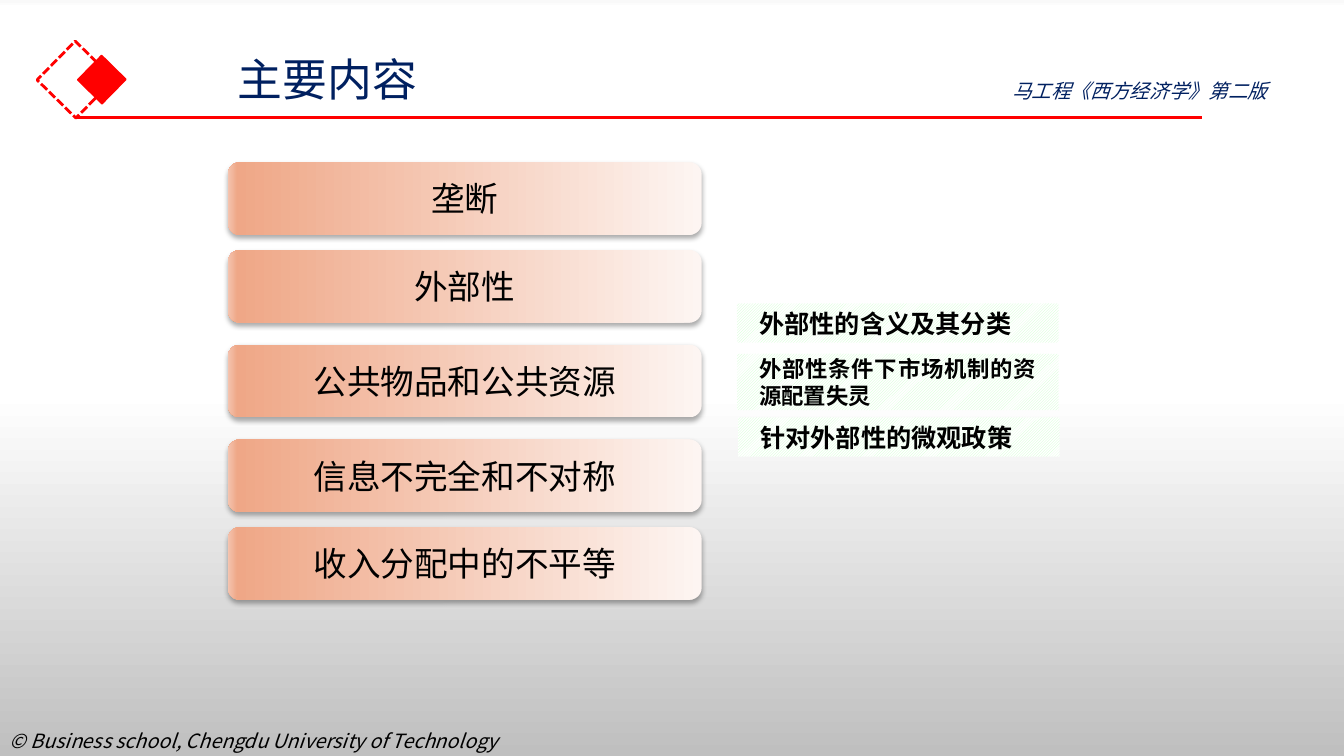
from lxml import etree
from pptx import Presentation
from pptx.dml.color import RGBColor
from pptx.enum.dml import MSO_LINE, MSO_PATTERN
from pptx.enum.shapes import MSO_CONNECTOR, MSO_SHAPE
from pptx.enum.text import MSO_ANCHOR, PP_ALIGN
from pptx.oxml.ns import qn
from pptx.util import Inches, Pt

RECT, ROUNDED = MSO_SHAPE.RECTANGLE, MSO_SHAPE.ROUNDED_RECTANGLE
STRAIGHT = MSO_CONNECTOR.STRAIGHT
DASH = MSO_LINE.SQUARE_DOT
HATCH = MSO_PATTERN.LIGHT_UPWARD_DIAGONAL
TOP, MIDDLE = MSO_ANCHOR.TOP, MSO_ANCHOR.MIDDLE
LEFT, CENTER, JUSTIFY = PP_ALIGN.LEFT, PP_ALIGN.CENTER, PP_ALIGN.JUSTIFY

SANS, LATIN = "Noto Sans CJK SC", "Calibri"
COLORS = {"red": "FF0000", "navy": "002060", "black": "000000",
          "white": "FFFFFF", "mint": "CCFFCC"}
PAGE_STOPS = [(0, "F9F9F9"), (1, "FFFFFF"), (52, "FFFFFF"), (100, "BFBFBF")]
BAR_STOPS = [(0, "FDF5F2"), (98, "EFA787"), (100, "F4C4AF")]

CHAPTERS = [(1.61, "垄断"), (2.48, "外部性"), (3.42, "公共物品和公共资源"),
            (4.36, "信息不完全和不对称"), (5.23, "收入分配中的不平等")]
SECTIONS = [(0, 0, 0.39, 18, "外部性的含义及其分类"),
            (0, 0.5, 0.56, 16, "外部性条件下市场机制的资源配置失灵"),
            (0.01, 1.13, 0.39, 18, "针对外部性的微观政策")]


def rgb(name):
    """Return the named palette colour."""
    return RGBColor.from_string(COLORS[name])


def add_child(parent, tag, **attributes):
    """Append a DrawingML element with the given attributes."""
    child = etree.SubElement(parent, qn(tag))
    for key, value in attributes.items():
        child.set(key, str(value))
    return child


def set_gradient(fill, element, stops, angle):
    """Fill with a linear gradient whose angle runs clockwise."""
    fill.gradient()
    gradient = element.find(".//" + qn("a:gradFill"))
    stop_list = gradient.find(qn("a:gsLst"))
    for old_stop in list(stop_list):
        stop_list.remove(old_stop)
    for position, color in stops:
        stop = add_child(stop_list, "a:gs", pos=position * 1000)
        add_child(stop, "a:srgbClr", val=color)
    gradient.find(qn("a:lin")).set("ang", str(angle * 60000))


def write(shape, text, size, color, font=SANS, align=LEFT, anchor=TOP,
          margin=0.1, bold=False, italic=False):
    """Put one formatted paragraph into a shape."""
    frame = shape.text_frame
    frame.text = text
    frame.word_wrap = True
    frame.vertical_anchor = anchor
    frame.margin_left = frame.margin_right = Inches(margin)
    frame.margin_top = frame.margin_bottom = Inches(0.05)
    paragraph = frame.paragraphs[0]
    paragraph.alignment = align
    for run in paragraph.runs:
        run.font.name = font
        run.font.size = Pt(size)
        run.font.bold = bold
        run.font.italic = italic
        run.font.color.rgb = rgb(color)
        add_child(run.font._element, "a:ea", typeface=SANS)


def add_caption(slide, left, top, width, height, text, color):
    """Add a small italic line of text."""
    caption = slide.shapes.add_textbox(
        Inches(left), Inches(top), Inches(width), Inches(height))
    write(caption, text, 14, color, italic=True)


def add_diamond(slide, left, top, side):
    """Add a red outlined square standing on its corner."""
    diamond = slide.shapes.add_shape(
        RECT, Inches(left), Inches(top), Inches(side), Inches(side))
    diamond.rotation = 314.5
    diamond.shadow.inherit = False
    diamond.line.color.rgb = rgb("red")
    return diamond


def add_header(slide, left, top):
    """Add the diamonds, the rule, the title and the book name."""
    dashed = add_diamond(slide, left, top + 0.06, 0.54)
    dashed.fill.background()
    dashed.line.width = Pt(2)
    dashed.line.dash_style = DASH
    solid = add_diamond(slide, left + 0.36, top + 0.16, 0.34)
    solid.fill.solid()
    solid.fill.fore_color.rgb = rgb("red")
    solid.line.width = Pt(1)

    rule_y = Inches(top + 0.71)
    rule = slide.shapes.add_connector(
        STRAIGHT, Inches(left + 0.27), rule_y, Inches(left + 11.44), rule_y)
    rule.line.color.rgb = rgb("red")
    rule.line.width = Pt(2.25)
    add_child(rule._element.spPr, "a:effectLst")

    title = slide.shapes.title
    title.left, title.top = Inches(left + 1.78), Inches(top)
    title.width, title.height = Inches(5.32), Inches(0.64)
    write(title, "主要内容", 32, "navy")
    add_caption(slide, left + 9.46, top + 0.27, 3.24, 0.34,
                "马工程《西方经济学》第二版", "navy")


def add_chapters(slide, left, width, height):
    """Add the column of chapter bars."""
    for top, chapter in CHAPTERS:
        bar = slide.shapes.add_shape(
            ROUNDED, Inches(left), Inches(top), Inches(width), Inches(height))
        set_gradient(bar.fill, bar._element, BAR_STOPS, 180)
        bar.line.fill.background()
        bar.shadow.inherit = False
        effects = bar._element.spPr.find(qn("a:effectLst"))
        shadow = add_child(effects, "a:outerShdw", blurRad=Pt(3.5),
                           dist=Pt(2.2), dir=90 * 60000, rotWithShape=0)
        tint = add_child(shadow, "a:srgbClr", val=COLORS["black"])
        add_child(tint, "a:alpha", val=32000)
        write(bar, chapter, 24, "black", align=CENTER, anchor=MIDDLE)


def add_sections(slide, left, top, width):
    """Add the hatched boxes that list the sections."""
    for shift, drop, height, size, section in SECTIONS:
        box = slide.shapes.add_shape(
            RECT, Inches(left + shift), Inches(top + drop),
            Inches(width), Inches(height))
        box.shadow.inherit = False
        box.line.fill.background()
        box.fill.patterned()
        box.fill.pattern = HATCH
        box.fill.fore_color.rgb = rgb("mint")
        box.fill.back_color.rgb = rgb("white")
        write(box, section, size, "black", font=LATIN, align=JUSTIFY,
              anchor=MIDDLE, margin=0.22, bold=True)


def main():
    """Build the contents slide and save it."""
    deck = Presentation()
    deck.slide_width, deck.slide_height = Inches(13.33), Inches(7.5)
    slide = deck.slides.add_slide(deck.slide_layouts.get_by_name("Title Only"))
    set_gradient(slide.background.fill, slide._element, PAGE_STOPS, 90)
    add_caption(slide, 0, 7.18, 6.67, 0.64,
                "© Business school, Chengdu University of Technology", "black")
    add_header(slide, 0.48, 0.46)
    add_chapters(slide, 2.26, 4.7, 0.72)
    add_sections(slide, 7.31, 3.01, 3.19)
    deck.save("out.pptx")


if __name__ == "__main__":
    main()
